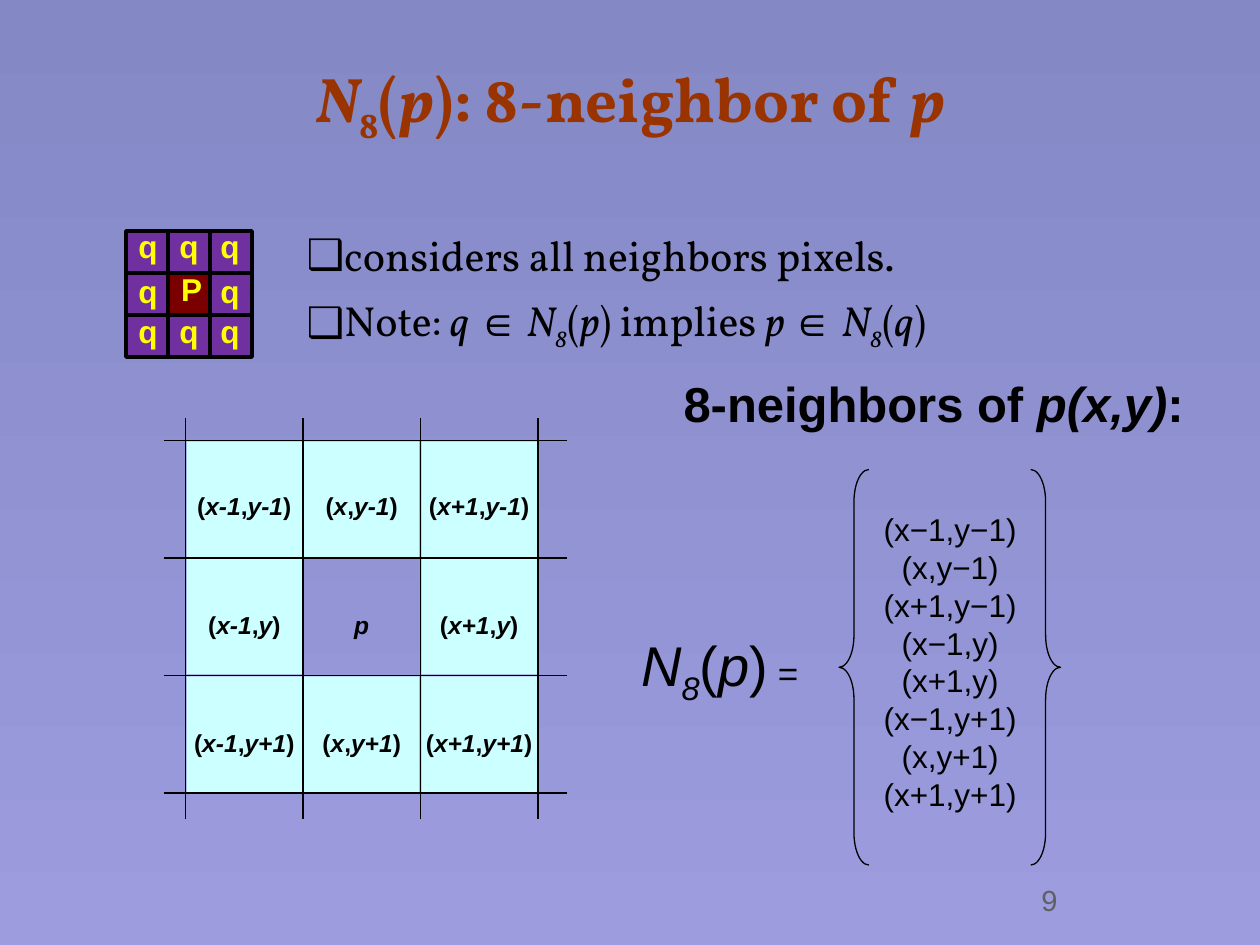
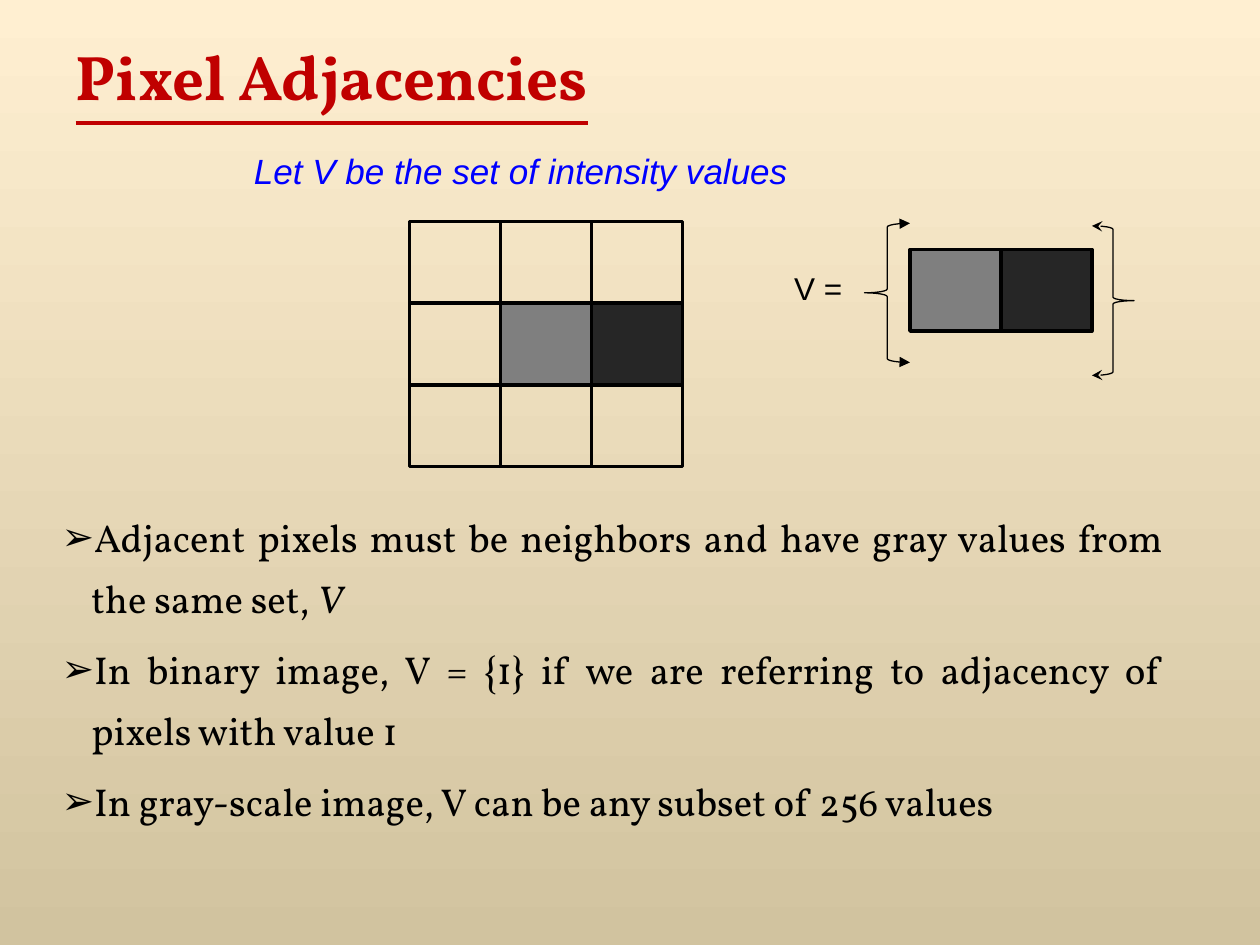
import pptx
import pptx.dml.color
import pptx.enum.shapes
import pptx.enum.text
import pptx.oxml.ns
import pptx.util
from lxml import etree

Pt = pptx.util.Pt
SHAPES = pptx.enum.shapes.MSO_SHAPE
ALIGN = pptx.enum.text.PP_ALIGN

COLORS = {
    "black": "000000",
    "rust": "993300",
    "red": "C00000",
    "blue": "0000FF",
    "yellow": "FFFF00",
    "purple": "7030A0",
    "maroon": "7A0000",
    "cyan": "CCFFFF",
    "mid gray": "7F7F7F",
    "dark gray": "262626",
    "page number": "606060",
    "violet top": "8488C4",
    "violet bottom": "9C9CDF",
    "sand top": "FFEFD1",
    "sand bottom": "D1C39F",
}
SERIF = "Vollkorn"
SANS = "Arial"


def rgb(name):
    return pptx.dml.color.RGBColor.from_string(COLORS[name])


def add_element(parent, tag, **attributes):
    return etree.SubElement(parent, pptx.oxml.ns.qn(tag), **attributes)


def add_page(deck, top_color, bottom_color):
    page = deck.slides.add_slide(deck.slide_layouts[1])
    fill = page.background.fill
    fill.gradient()
    fill.gradient_angle = 270
    for stop, color in zip(fill.gradient_stops, (top_color, bottom_color)):
        stop.color.rgb = rgb(color)
    return page


def place(shape, left, top, width, height):
    shape.left, shape.top = Pt(left), Pt(top)
    shape.width, shape.height = Pt(width), Pt(height)


def set_font(para, name, size, color="black", bold=False, italic=False):
    font = para.font
    font.name, font.size = name, Pt(size)
    font.bold, font.italic = bold, italic
    font.color.rgb = rgb(color)


def write_spans(para, spans):
    """Add text or (text, marks) spans; marks: i italic, s subscript, a Arial."""
    for item in spans:
        text, marks = (item, "") if isinstance(item, str) else item
        span = para.add_run()
        span.text = text
        if "i" in marks:
            span.font.italic = True
        if "s" in marks:
            span.font._element.set("baseline", "-25000")
        if "a" in marks:
            span.font.name = SANS


def add_title(page, top, spans, color, align, underline=False):
    title = page.shapes.title
    place(title, 36, top, 648, 50)
    frame = title.text_frame
    frame.auto_size = pptx.enum.text.MSO_AUTO_SIZE.NONE
    frame.vertical_anchor = pptx.enum.text.MSO_ANCHOR.MIDDLE
    para = frame.paragraphs[0]
    para.alignment = align
    write_spans(para, spans)
    set_font(para, SERIF, 36, color, bold=True)
    para.font.underline = underline


def add_bullets(page, bounds, items, mark, size, gap, margin=0, indent=0,
                spacing=1.0, align=ALIGN.LEFT):
    body = page.placeholders[1]
    place(body, *bounds)
    frame = body.text_frame
    frame.auto_size = pptx.enum.text.MSO_AUTO_SIZE.NONE
    for index, spans in enumerate(items):
        para = frame.add_paragraph() if index else frame.paragraphs[0]
        properties = para._p.get_or_add_pPr()
        properties.set("marL", str(Pt(margin)))
        properties.set("indent", str(Pt(indent)))
        mark_color = add_element(properties, "a:buClr")
        add_element(mark_color, "a:srgbClr", val=COLORS["black"])
        add_element(properties, "a:buFont", typeface=SANS)
        add_element(properties, "a:buChar", char=mark)
        para.alignment = align
        para.line_spacing = spacing
        para.space_before = Pt(gap if index else 0)
        write_spans(para, spans)
        set_font(para, SERIF, size)


def add_text(page, bounds, lines, size, color="black", bold=False,
             italic=False, align=ALIGN.CENTER, wrap=False):
    box = page.shapes.add_textbox(*map(Pt, bounds))
    frame = box.text_frame
    frame.word_wrap = wrap
    for index, spans in enumerate(lines):
        para = frame.add_paragraph() if index else frame.paragraphs[0]
        para.alignment = align
        write_spans(para, spans)
        set_font(para, SANS, size, color, bold, italic)


def add_shape(page, kind, bounds, fill=None, line_width=None):
    shape = page.shapes.add_shape(kind, *map(Pt, bounds))
    shape.shadow.inherit = False
    if fill:
        shape.fill.solid()
        shape.fill.fore_color.rgb = rgb(fill)
    else:
        shape.fill.background()
    if line_width:
        shape.line.width = Pt(line_width)
        shape.line.color.rgb = rgb("black")
    else:
        shape.line.fill.background()
    return shape


def add_cells(page, left, top, width, height, rows):
    """Draw outlined cells, one for each fill name (or None) in rows."""
    for row, fills in enumerate(rows):
        for column, fill in enumerate(fills):
            bounds = (left + column * width, top + row * height, width, height)
            add_shape(page, SHAPES.RECTANGLE, bounds, fill, 2)


def add_line(page, x1, y1, x2, y2):
    line = page.shapes.add_connector(
        pptx.enum.shapes.MSO_CONNECTOR.STRAIGHT, *map(Pt, (x1, y1, x2, y2)))
    line.line.width = Pt(0.75)
    line.line.color.rgb = rgb("black")
    add_element(line._element.spPr, "a:effectLst")


def add_brace(page, kind, bounds, curve=0.083, arrow=None):
    brace = add_shape(page, kind, bounds, line_width=0.75)
    brace.adjustments[0] = curve
    if arrow:
        outline = brace.line._get_or_add_ln()
        for end in ("a:headEnd", "a:tailEnd"):
            add_element(outline, end, type=arrow)


def add_coordinate_grid(page):
    left, top, pitch = 106.1, 251.8, 67.1
    cells = [(row, column) for row in range(3) for column in range(3)]
    for row, column in cells:
        if (row, column) != (1, 1):
            bounds = (left + column * pitch + 0.5, top + row * pitch + 0.5, 66, 66)
            add_shape(page, SHAPES.RECTANGLE, bounds, "cyan")
    for index in range(4):
        x, y = left + index * pitch, top + index * pitch
        add_line(page, x, 239, x, 468)
        add_line(page, 93.5, y, 324, y)
    steps = ("-1", "", "+1")
    for row, column in cells:
        spans = ["(", ("x" + steps[column], "i"), ",",
                 ("y" + steps[row], "i"), ")"]
        if (row, column) == (1, 1):
            spans = [("p", "i")]
        bounds = (left + column * pitch - 6.5, 277.2 + row * 67.7, 80, 24.5)
        add_text(page, bounds, [spans], 14, bold=True)


def add_pixel_grid(page):
    ring = ["purple"] * 3
    add_cells(page, 72, 132, 24, 24, [ring, ["purple", "maroon", "purple"], ring])
    for row, top in enumerate((126, 152, 175)):
        for column in range(3):
            label = "P" if row == column == 1 else "q"
            shift = 1 if label == "P" else 0
            bounds = (72 + column * 23.4 + shift, top - shift, 25, 29)
            add_text(page, bounds, [[label]], 18, "yellow", bold=True,
                     align=ALIGN.LEFT, wrap=True)


def build_neighbor_page(deck):
    page = add_page(deck, "violet top", "violet bottom")
    add_title(page, 33.7, [("N", "i"), ("8", "s"), "(", ("p", "i"),
                           "): 8-neighbor of ", ("p", "i")], "rust", ALIGN.CENTER)
    note = ["Note: ", ("q ", "i"), ("∈", "a"), (" N", "i"), ("8", "is"), "(",
            ("p", "i"), ") implies ", ("p ", "i"), ("∈", "a"), (" N", "i"),
            ("8", "is"), "(", ("q", "i"), ")"]
    add_bullets(page, (168, 127.5, 540, 77),
                [["considers all neighbors pixels."], note], "❑", 24, gap=8.5)
    add_coordinate_grid(page)
    add_text(page, (383.5, 210, 300, 41),
             [["8-neighbors of ", ("p(x,y)", "i"), ":"]], 28, bold=True)
    neighbors = ["(x−1,y−1)", "(x,y−1)", "(x+1,y−1)", "(x−1,y)",
                 "(x+1,y)", "(x−1,y+1)", "(x,y+1)", "(x+1,y+1)"]
    add_text(page, (493, 288, 100, 180), [[pair] for pair in neighbors], 18)
    add_set_name(page)
    add_brace(page, SHAPES.LEFT_BRACE, (479.5, 268.3, 17, 226), curve=1.08)
    add_brace(page, SHAPES.RIGHT_BRACE, (589, 268.3, 17, 226), curve=1.08)
    add_pixel_grid(page)
    add_text(page, (588, 500.5, 96, 29), [["9"]], 16.6, "page number",
             align=ALIGN.LEFT, wrap=True)


def add_set_name(page):
    box = page.shapes.add_textbox(Pt(359), Pt(356.5), Pt(110), Pt(51))
    box.text_frame.word_wrap = True
    para = box.text_frame.paragraphs[0]
    para.alignment = ALIGN.CENTER
    write_spans(para, [("N", "i"), ("8", "is"), "(", ("p", "i"), ")", " = "])
    set_font(para, SANS, 32)
    para.runs[-1].font.size = Pt(20)


def build_adjacency_page(deck):
    page = add_page(deck, "sand top", "sand bottom")
    add_title(page, 18.2, ["Pixel Adjacencies"], "red", ALIGN.LEFT, underline=True)
    pair = ["mid gray", "dark gray"]
    add_cells(page, 234, 126.7, 52, 46.6, [[None] * 3, [None] + pair, [None] * 3])
    items = [
        ["Adjacent pixels must be neighbors and have gray values from "
         "the same set, ", ("V", "i")],
        ["In binary image, V = {1} if we are referring to adjacency of "
         "pixels with value 1"],
        ["In gray-scale image, V can be any subset of 256 values"],
    ]
    add_bullets(page, (18, 282.2, 654, 192), items, "➢", 22.2, gap=6, margin=27,
                indent=-17, spacing=1.3, align=ALIGN.JUSTIFY)
    add_text(page, (138, 82, 428, 32), [["Let V be the set of intensity values"]],
             20, "blue", italic=True, align=ALIGN.LEFT, wrap=True)
    add_cells(page, 520, 142.6, 52, 46.6, [pair])
    add_text(page, (446.8, 150.2, 47, 29), [["V ="]], 18, align=ALIGN.LEFT)
    add_brace(page, SHAPES.LEFT_BRACE, (494, 127.6, 26, 79.5), arrow="triangle")
    add_brace(page, SHAPES.RIGHT_BRACE, (624, 129.1, 24, 85.5), arrow="stealth")


def main():
    deck = pptx.Presentation()
    deck.slide_width, deck.slide_height = Pt(720), Pt(540)
    build_neighbor_page(deck)
    build_adjacency_page(deck)
    deck.save("out.pptx")


if __name__ == "__main__":
    main()
